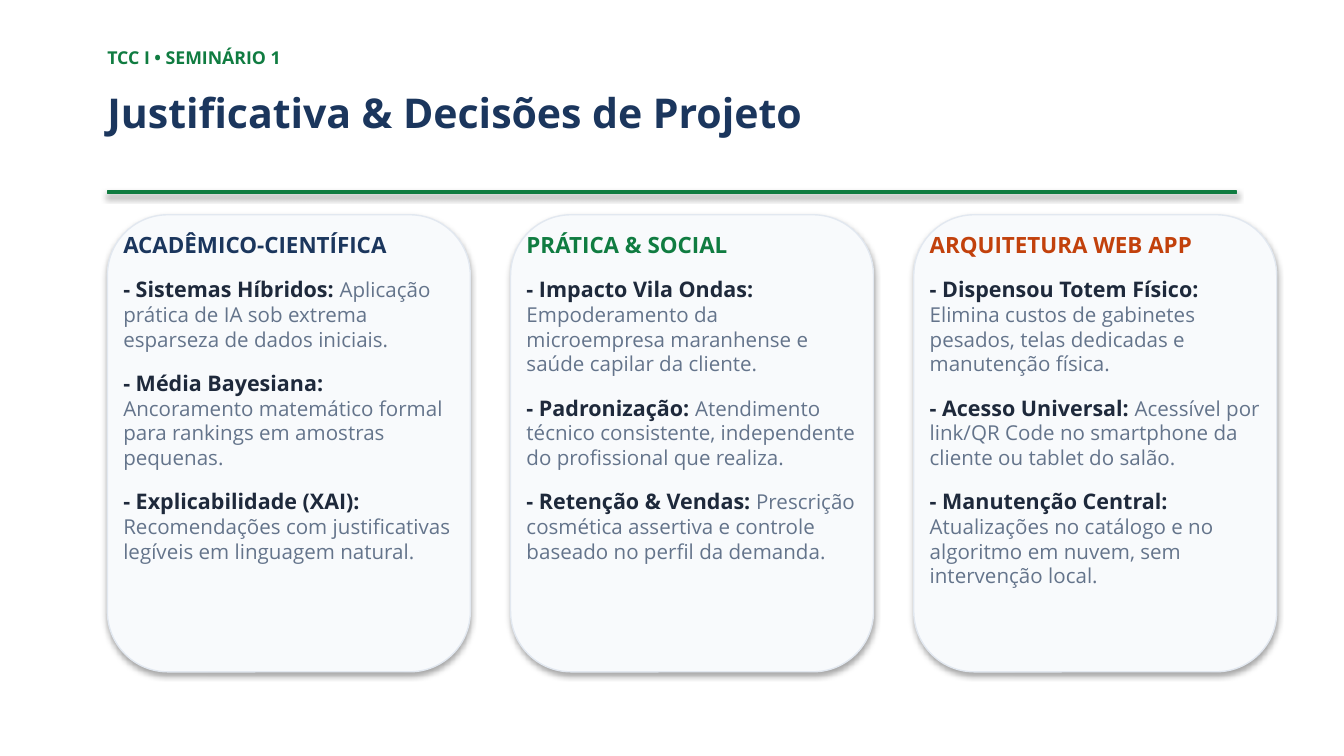
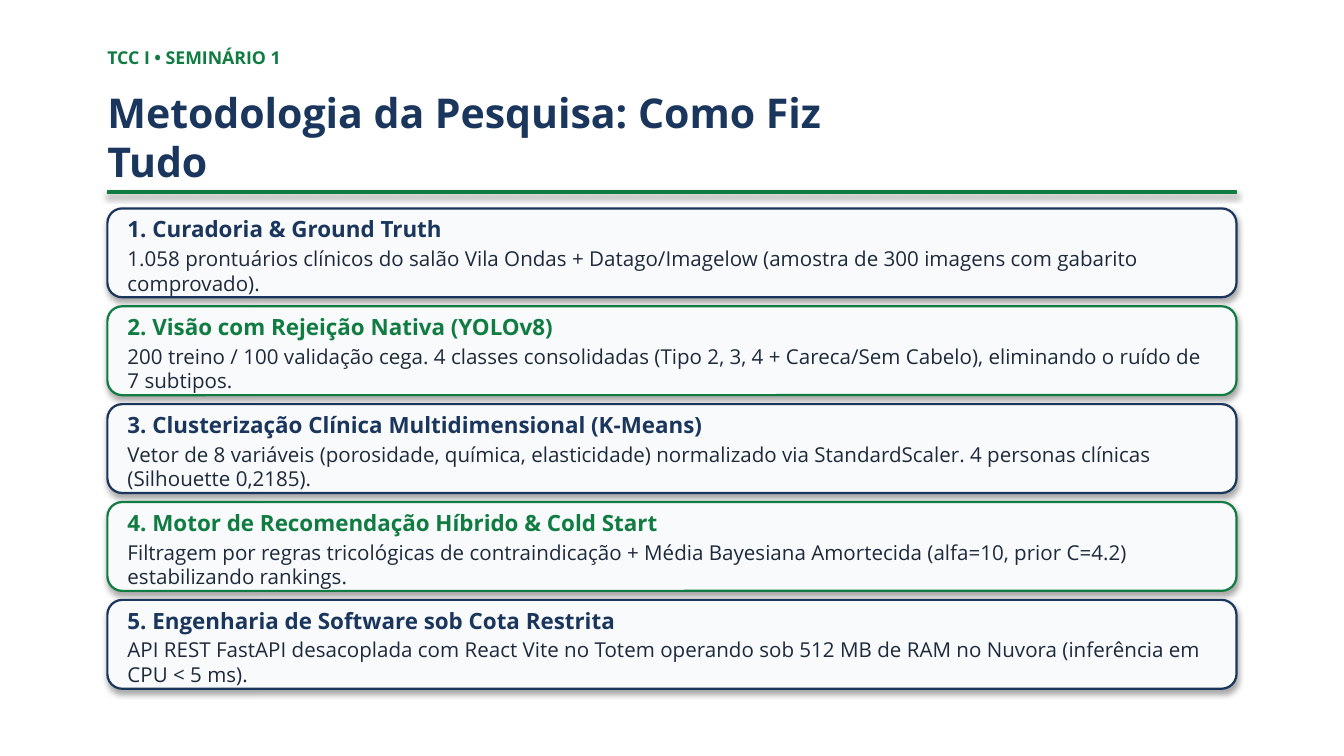
from lxml import etree
from pptx import Presentation
from pptx.dml.color import RGBColor
from pptx.enum import shapes, text
from pptx.oxml import ns
from pptx.util import Cm, Pt

NAVY = RGBColor(0x1B, 0x36, 0x5D)
GREEN = RGBColor(0x10, 0x7C, 0x41)
ORANGE = RGBColor(0xC2, 0x41, 0x0C)
INK = RGBColor(0x1E, 0x29, 0x3B)
SLATE = RGBColor(0x64, 0x74, 0x8B)
CARD_FILL = RGBColor(0xF8, 0xFA, 0xFC)
CARD_LINE = RGBColor(0xE2, 0xE8, 0xF0)
FONT = "Open Sans"

TITLE_ONLY, COMPARISON = 5, 4
MARGIN = Cm(2.03)
CONTENT_WIDTH = Cm(21.34)

REASONS = [
    ("ACADÊMICO-CIENTÍFICA", NAVY, [
        ("Sistemas Híbridos", "Aplicação prática de IA sob extrema esparseza de dados iniciais."),
        ("Média Bayesiana", "Ancoramento matemático formal para rankings em amostras pequenas."),
        ("Explicabilidade (XAI)", "Recomendações com justificativas legíveis em linguagem natural."),
    ]),
    ("PRÁTICA & SOCIAL", GREEN, [
        ("Impacto Vila Ondas", "Empoderamento da microempresa maranhense e saúde capilar da cliente."),
        ("Padronização", "Atendimento técnico consistente, independente do profissional que realiza."),
        ("Retenção & Vendas", "Prescrição cosmética assertiva e controle baseado no perfil da demanda."),
    ]),
    ("ARQUITETURA WEB APP", ORANGE, [
        ("Dispensou Totem Físico",
         "Elimina custos de gabinetes pesados, telas dedicadas e manutenção física."),
        ("Acesso Universal",
         "Acessível por link/QR Code no smartphone da cliente ou tablet do salão."),
        ("Manutenção Central",
         "Atualizações no catálogo e no algoritmo em nuvem, sem intervenção local."),
    ]),
]

STEPS = [
    ("Curadoria & Ground Truth",
     "1.058 prontuários clínicos do salão Vila Ondas + Datago/Imagelow "
     "(amostra de 300 imagens com gabarito comprovado)."),
    ("Visão com Rejeição Nativa (YOLOv8)",
     "200 treino / 100 validação cega. 4 classes consolidadas "
     "(Tipo 2, 3, 4 + Careca/Sem Cabelo), eliminando o ruído de 7 subtipos."),
    ("Clusterização Clínica Multidimensional (K-Means)",
     "Vetor de 8 variáveis (porosidade, química, elasticidade) normalizado via "
     "StandardScaler. 4 personas clínicas (Silhouette 0,2185)."),
    ("Motor de Recomendação Híbrido & Cold Start",
     "Filtragem por regras tricológicas de contraindicação + Média Bayesiana "
     "Amortecida (alfa=10, prior C=4.2) estabilizando rankings."),
    ("Engenharia de Software sob Cota Restrita",
     "API REST FastAPI desacoplada com React Vite no Totem operando sob 512 MB "
     "de RAM no Nuvora (inferência em CPU < 5 ms)."),
]


def set_font(font, size, color, bold=False):
    """Apply the deck typeface with a size, colour and weight."""
    font.name = FONT
    font.size = Pt(size)
    font.color.rgb = color
    font.bold = bold


def prepare_frame(shape):
    """Return the shape's text frame, wrapped, top-anchored and without insets."""
    frame = shape.text_frame
    frame.word_wrap = True
    frame.auto_size = text.MSO_AUTO_SIZE.NONE
    frame.vertical_anchor = text.MSO_ANCHOR.TOP
    frame.margin_left = frame.margin_right = frame.margin_top = frame.margin_bottom = 0
    return frame


def next_paragraph(frame, space_after=0):
    """Return a plain left-aligned paragraph, reusing the first empty one."""
    paragraph = frame.paragraphs[0]
    if paragraph.runs:
        paragraph = frame.add_paragraph()
    properties = paragraph._p.get_or_add_pPr()
    properties.set("marL", "0")
    properties.set("indent", "0")
    etree.SubElement(properties, ns.qn("a:buNone"))
    paragraph.alignment = text.PP_ALIGN.LEFT
    paragraph.space_before = Pt(0)
    paragraph.space_after = Pt(space_after)
    return paragraph


def add_line(frame, content, size, color, bold=False, space_after=0):
    """Add a paragraph in one uniform style."""
    paragraph = next_paragraph(frame, space_after)
    paragraph.add_run().text = content
    set_font(paragraph.font, size, color, bold)


def add_reason(frame, label, detail):
    """Add a bold label followed by its explanation."""
    paragraph = next_paragraph(frame, space_after=10)
    for content, size, color, bold in ((f"- {label}: ", 11.5, INK, True),
                                       (detail, 11, SLATE, False)):
        run = paragraph.add_run()
        run.text = content
        set_font(run.font, size, color, bold)


def place(shape, left, top, width, height):
    """Move and resize a shape."""
    shape.left, shape.top, shape.width, shape.height = left, top, width, height


def add_block(slide, kind, bounds, fill, line, line_width=0.75):
    """Add a filled, outlined shape with the theme's soft shadow."""
    shape = slide.shapes.add_shape(kind, *bounds)
    shape.fill.solid()
    shape.fill.fore_color.rgb = fill
    shape.line.color.rgb = line
    shape.line.width = Pt(line_width)


def add_slide(presentation, layout, title):
    """Add a slide with the shared kicker, title and green rule."""
    slide = presentation.slides.add_slide(presentation.slide_layouts[layout])
    kicker = slide.shapes.add_textbox(MARGIN, Cm(0.89), Cm(13.97), Cm(0.76))
    add_line(prepare_frame(kicker), "TCC I • SEMINÁRIO 1", 9.5, GREEN, bold=True)
    place(slide.shapes.title, MARGIN, Cm(1.65), Cm(14.73), Cm(1.91))
    add_line(prepare_frame(slide.shapes.title), title, 22, NAVY, bold=True)
    add_block(slide, shapes.MSO_SHAPE.RECTANGLE,
              (MARGIN, Cm(3.61), CONTENT_WIDTH, Cm(0.05)), GREEN, GREEN)
    return slide


def add_reason_card(slide, body, left, heading, color, reasons):
    """Add a column card and lay a body placeholder over it."""
    top = Cm(4.06)
    add_block(slide, shapes.MSO_SHAPE.ROUNDED_RECTANGLE,
              (left, top, Cm(6.86), Cm(8.64)), CARD_FILL, CARD_LINE)
    body.element.getparent().append(body.element)
    place(body, left + Cm(0.3), top + Cm(0.3), Cm(6.25), Cm(8))
    frame = prepare_frame(body)
    add_line(frame, heading, 12, color, bold=True, space_after=10)
    for label, detail in reasons:
        add_reason(frame, label, detail)


def add_step_card(slide, top, heading, detail, color):
    """Add a full-width card with a heading and a description."""
    add_block(slide, shapes.MSO_SHAPE.ROUNDED_RECTANGLE,
              (MARGIN, top, CONTENT_WIDTH, Cm(1.68)), CARD_FILL, color, 1.2)
    box = slide.shapes.add_textbox(MARGIN + Cm(0.38), top + Cm(0.13), Cm(20.57), Cm(1.42))
    frame = prepare_frame(box)
    add_line(frame, heading, 12, color, bold=True, space_after=2)
    add_line(frame, detail, 11, INK)


def build_reasons(presentation):
    """Build the slide with three columns of reasons."""
    slide = add_slide(presentation, COMPARISON, "Justificativa & Decisões de Projeto")
    bodies = [shape for shape in slide.placeholders if shape.placeholder_format.idx > 0]
    for index, (body, reason) in enumerate(zip(bodies, REASONS)):
        add_reason_card(slide, body, MARGIN + index * Cm(7.62), *reason)
    for unused in bodies[len(REASONS):]:
        unused.element.getparent().remove(unused.element)


def build_steps(presentation):
    """Build the slide with the stacked method steps."""
    slide = add_slide(presentation, TITLE_ONLY, "Metodologia da Pesquisa: Como Fiz Tudo")
    for index, (heading, detail) in enumerate(STEPS):
        color = GREEN if index % 2 else NAVY
        add_step_card(slide, Cm(3.94) + index * Cm(1.85),
                      f"{index + 1}. {heading}", detail, color)


def main():
    """Create and save the presentation."""
    presentation = Presentation()
    presentation.slide_width = Cm(25.4)
    presentation.slide_height = Cm(14.29)
    build_reasons(presentation)
    build_steps(presentation)
    presentation.save("out.pptx")


if __name__ == "__main__":
    main()
